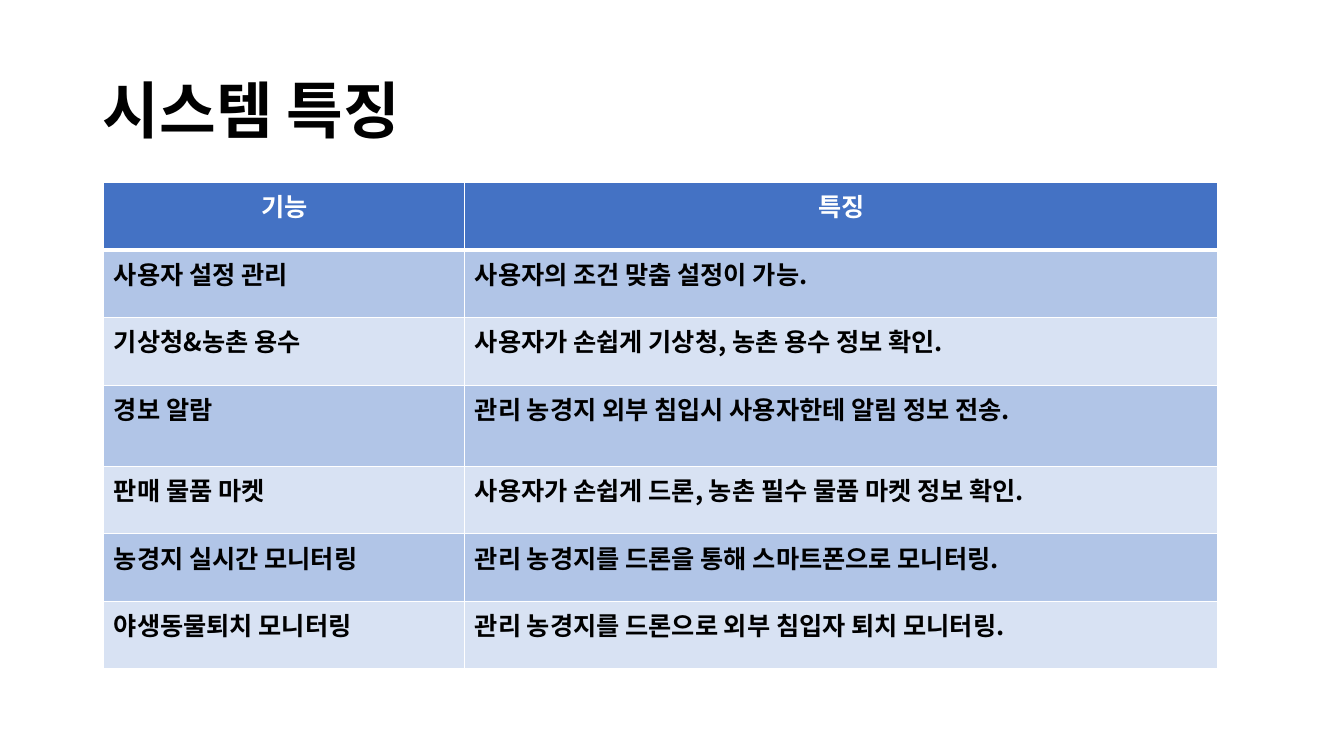
import lxml.etree
import pptx
import pptx.dml.color
import pptx.enum.text
import pptx.oxml.ns
import pptx.util

SLIDE_WIDTH, SLIDE_HEIGHT = 13.33, 7.5
FONT = "Noto Sans CJK KR"
COLORS = {
    "header": "4472C4",
    "odd_row": "B1C5E7",
    "even_row": "D8E2F3",
    "border": "FFFFFF",
    "header_text": "FFFFFF",
    "text": "000000",
}
COLUMN_SHARES = [0.324, 0.676]
ROW_UNITS = [1, 1, 1, 1.2, 1, 1, 1]
FEATURES = [
    ("기능", "특징"),
    ("사용자 설정 관리", "사용자의 조건 맞춤 설정이 가능."),
    ("기상청&농촌 용수", "사용자가 손쉽게 기상청, 농촌 용수 정보 확인."),
    ("경보 알람", "관리 농경지 외부 침입시 사용자한테 알림 정보 전송."),
    ("판매 물품 마켓", "사용자가 손쉽게 드론, 농촌 필수 물품 마켓 정보 확인."),
    ("농경지 실시간 모니터링", "관리 농경지를 드론을 통해 스마트폰으로 모니터링."),
    ("야생동물퇴치 모니터링", "관리 농경지를 드론으로 외부 침입자 퇴치 모니터링."),
]


def rgb(name):
    return pptx.dml.color.RGBColor.from_string(COLORS[name])


def add_run(paragraph, text, size, color):
    run = paragraph.add_run()
    run.text = text
    run.font.size = pptx.util.Pt(size)
    run.font.bold = True
    run.font.color.rgb = rgb(color)
    run.font.name = FONT
    # Korean glyphs take the East Asian typeface
    east_asian = lxml.etree.SubElement(run.font._element, pptx.oxml.ns.qn("a:ea"))
    east_asian.set("typeface", FONT)


def set_borders(cell, widths):
    properties = cell._tc.get_or_add_tcPr()
    for index, (side, width) in enumerate(widths.items()):
        line = lxml.etree.Element(pptx.oxml.ns.qn(f"a:ln{side}"), w=str(pptx.util.Pt(width)))
        fill = lxml.etree.SubElement(line, pptx.oxml.ns.qn("a:solidFill"))
        lxml.etree.SubElement(fill, pptx.oxml.ns.qn("a:srgbClr"), val=COLORS["border"])
        properties.insert(index, line)


def add_title(slide, left, top, width, height):
    box = slide.shapes.add_textbox(*map(pptx.util.Inches, (left, top, width, height)))
    frame = box.text_frame
    frame.word_wrap = True
    frame.vertical_anchor = pptx.enum.text.MSO_ANCHOR.MIDDLE
    paragraph = frame.paragraphs[0]
    paragraph.line_spacing = 0.9
    add_run(paragraph, "시스템 특징", 44, "text")


def add_feature_table(slide, left, top, width, height):
    frame = slide.shapes.add_table(
        len(FEATURES), len(COLUMN_SHARES),
        *map(pptx.util.Inches, (left, top, width, height)))
    table = frame.table
    for column, share in zip(table.columns, COLUMN_SHARES):
        column.width = pptx.util.Inches(width * share)
    for row, units in zip(table.rows, ROW_UNITS):
        row.height = pptx.util.Inches(height * units / sum(ROW_UNITS))

    for row_index, texts in enumerate(FEATURES):
        is_header = row_index == 0
        fill = "header" if is_header else "odd_row" if row_index % 2 else "even_row"
        # The rule under the header is heavier than the others
        widths = {"L": 1, "R": 1, "T": 3 if row_index == 1 else 1, "B": 3 if is_header else 1}
        for column_index, text in enumerate(texts):
            cell = table.cell(row_index, column_index)
            cell.fill.solid()
            cell.fill.fore_color.rgb = rgb(fill)
            set_borders(cell, widths)
            paragraph = cell.text_frame.paragraphs[0]
            if is_header:
                paragraph.alignment = pptx.enum.text.PP_ALIGN.CENTER
            add_run(paragraph, text, 18, "header_text" if is_header else "text")


def main():
    presentation = pptx.Presentation()
    presentation.slide_width = pptx.util.Inches(SLIDE_WIDTH)
    presentation.slide_height = pptx.util.Inches(SLIDE_HEIGHT)
    slide = presentation.slides.add_slide(presentation.slide_layouts[6])
    # Title above, table below
    add_title(slide, 0.92, 0.4, 11.5, 1.45)
    add_feature_table(slide, 1.03, 1.81, 11.05, 4.83)
    presentation.save("out.pptx")


if __name__ == "__main__":
    main()
